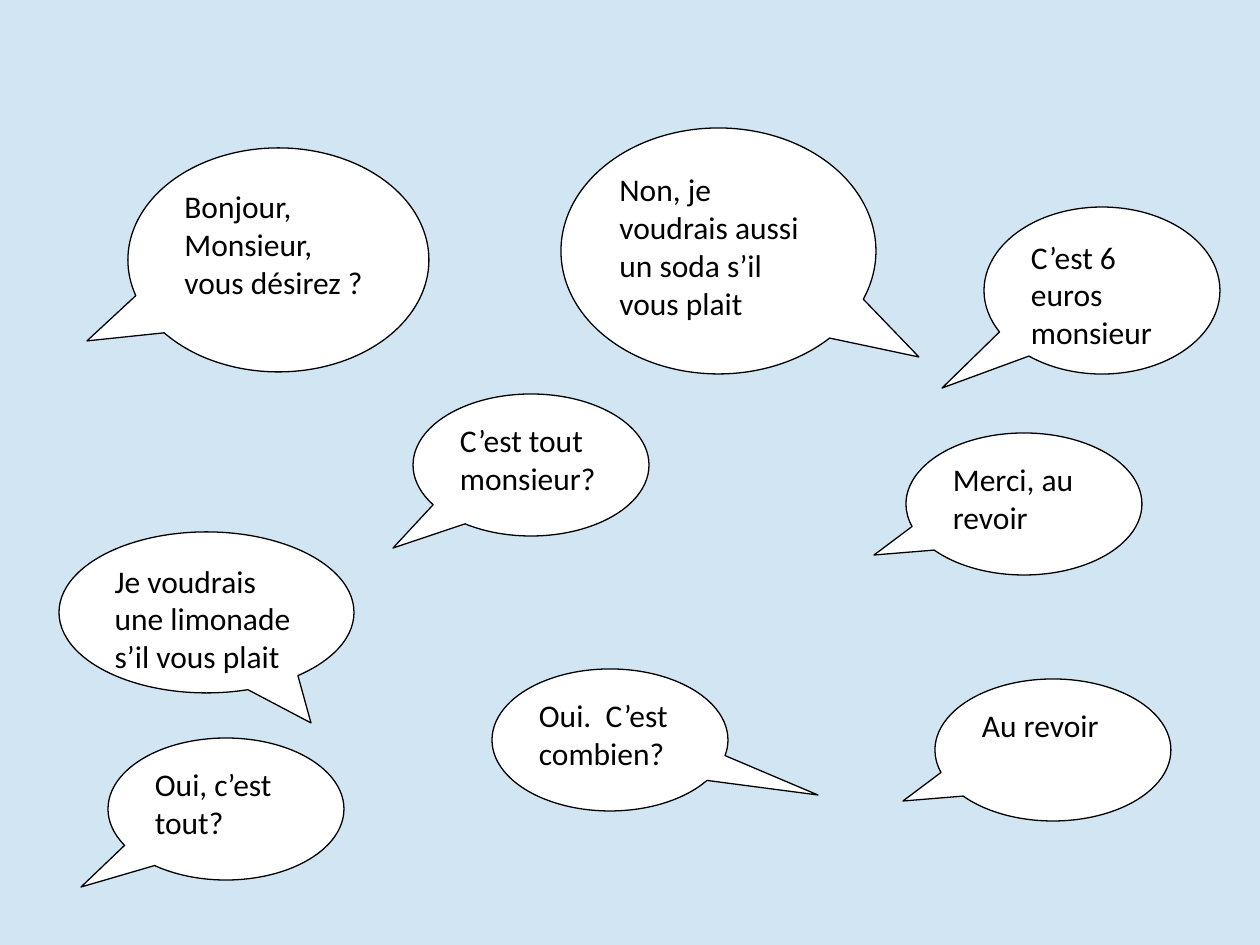
from dataclasses import dataclass

from pptx import Presentation
from pptx.dml.color import RGBColor
from pptx.enum.shapes import MSO_SHAPE
from pptx.enum.text import MSO_ANCHOR, PP_ALIGN
from pptx.slide import Slide
from pptx.util import Emu, Pt

BALLOON = MSO_SHAPE.OVAL_CALLOUT
TOP = MSO_ANCHOR.TOP
LEFT = PP_ALIGN.LEFT

EMU_PER_PX = 914400 / 126
BLANK_LAYOUT = 6


@dataclass(frozen=True)
class Theme:
    sky: RGBColor = RGBColor(0xD2, 0xE5, 0xF3)
    paper: RGBColor = RGBColor(0xFF, 0xFF, 0xFF)
    ink: RGBColor = RGBColor(0x00, 0x00, 0x00)
    font: str = "Calibri"
    speech_size: Pt = Pt(18)
    space_after: Pt = Pt(10)
    outline: Pt = Pt(0.75)


THEME = Theme()


@dataclass(frozen=True)
class Speech:
    """A speech balloon: top-left corner, tip of the tail and size, in px."""
    words: str
    left: int
    top: int
    tip_x: int
    tip_y: int
    width: int = 236
    height: int = 142


DIALOGUE = (
    Speech("Bonjour, Monsieur, vous désirez ?", 128, 148, 87, 341, 301, 224),
    Speech("Oui, c’est tout?", 108, 738, 81, 887),
    Speech("Merci, au revoir", 906, 433, 874, 555),
    Speech("Au revoir", 935, 679, 903, 801),
    Speech("C’est tout monsieur?", 413, 394, 393, 548),
    Speech("Je voudrais une limonade s’il vous plait",
           59, 532, 311, 723, 295, 161),
    Speech("Oui.  C’est combien?", 492, 669, 818, 795),
    Speech("Non, je voudrais aussi un soda s’il vous plait",
           561, 128, 919, 357, 315, 246),
    Speech("C’est 6 euros monsieur", 984, 207, 942, 388, height=167),
)


def px(length: int) -> Emu:
    return Emu(round(length * EMU_PER_PX))


def draw_speech(slide: Slide, speech: Speech) -> None:
    balloon = slide.shapes.add_shape(
        BALLOON, px(speech.left), px(speech.top),
        px(speech.width), px(speech.height))
    balloon.shadow.inherit = False
    balloon.fill.solid()
    balloon.fill.fore_color.rgb = THEME.paper
    balloon.line.color.rgb = THEME.ink
    balloon.line.width = THEME.outline

    # The tail is measured from the centre, as a share of the balloon's size
    balloon.adjustments[0] = (speech.tip_x - speech.left) / speech.width - 0.5
    balloon.adjustments[1] = (speech.tip_y - speech.top) / speech.height - 0.5

    # Spoken words
    frame = balloon.text_frame
    frame.word_wrap = True
    frame.vertical_anchor = TOP
    paragraph = frame.paragraphs[0]
    paragraph.alignment = LEFT
    paragraph.space_after = THEME.space_after
    run = paragraph.add_run()
    run.text = speech.words
    run.font.name = THEME.font
    run.font.size = THEME.speech_size
    run.font.color.rgb = THEME.ink


def main() -> None:
    presentation = Presentation()
    presentation.slide_width = px(1260)
    presentation.slide_height = px(945)
    slide = presentation.slides.add_slide(
        presentation.slide_layouts[BLANK_LAYOUT])

    # Background
    slide.background.fill.solid()
    slide.background.fill.fore_color.rgb = THEME.sky

    # Café conversation
    for speech in DIALOGUE:
        draw_speech(slide, speech)

    presentation.save("out.pptx")


if __name__ == "__main__":
    main()
